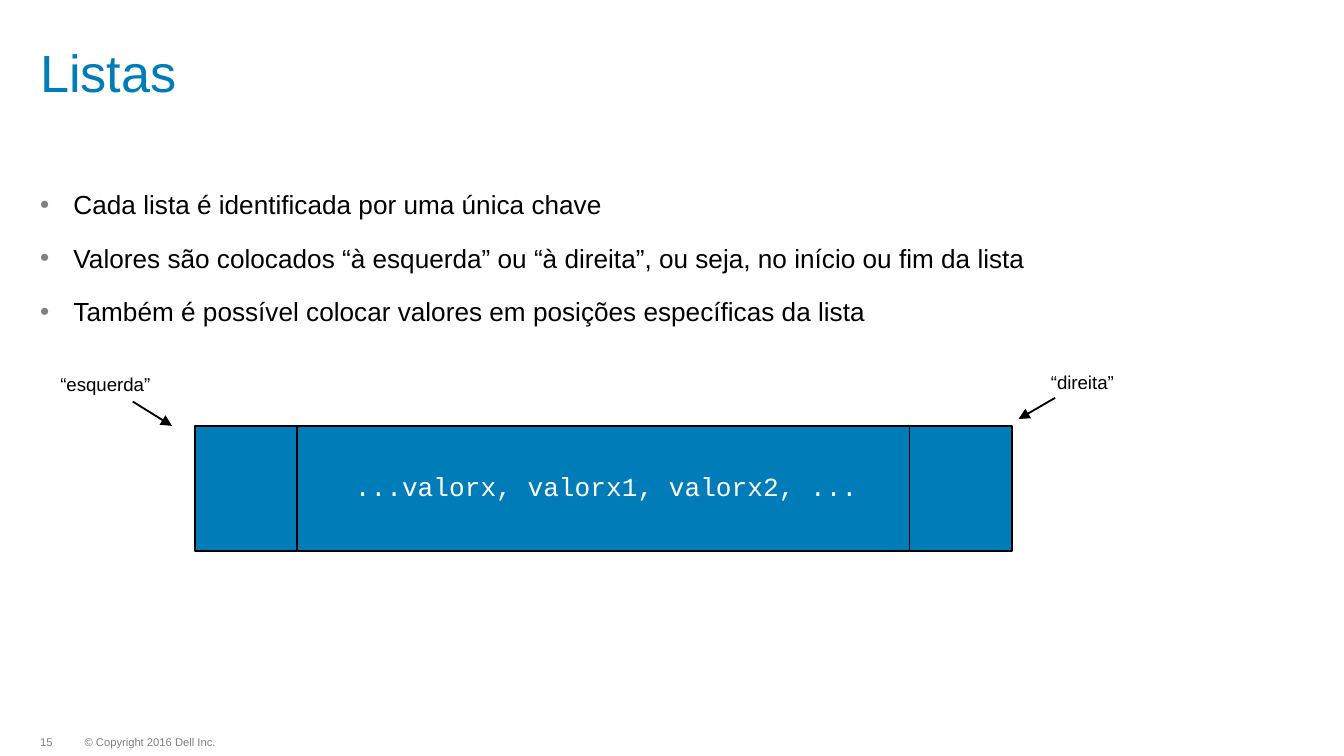
from lxml.etree import SubElement
from pptx import Presentation
from pptx.dml.color import RGBColor
from pptx.enum.shapes import MSO_CONNECTOR, MSO_SHAPE
from pptx.enum.text import MSO_ANCHOR, MSO_AUTO_SIZE, PP_ALIGN
from pptx.oxml.ns import qn
from pptx.util import Cm, Pt

BLUE = RGBColor(0x00, 0x7D, 0xB8)
BLACK = RGBColor(0x00, 0x00, 0x00)
WHITE = RGBColor(0xFF, 0xFF, 0xFF)
GRAY = RGBColor(0x80, 0x80, 0x80)
FOOTER_GRAY = RGBColor(0x7F, 0x7F, 0x7F)
LEFT = Cm(0.76)


def write(shape, *lines, size=14, font="Arial", color=BLACK, align=PP_ALIGN.LEFT,
          anchor=MSO_ANCHOR.TOP, insets=(0, 0, 0, 0), wrap=True, spacing=1.0,
          gap=0, bullet=None):
    """Fill a shape with one paragraph per line; insets are in cm."""
    frame = shape.text_frame
    frame.auto_size = MSO_AUTO_SIZE.NONE
    frame.word_wrap = wrap
    frame.vertical_anchor = anchor
    (frame.margin_left, frame.margin_top,
     frame.margin_right, frame.margin_bottom) = [Cm(inset) for inset in insets]
    for index, line in enumerate(lines):
        para = frame.add_paragraph() if index else frame.paragraphs[0]
        para.alignment = align
        para.line_spacing = spacing
        para.space_before = Pt(gap if index else 0)
        if bullet:
            props = para._p.get_or_add_pPr()
            props.set("marL", str(Cm(0.63)))
            props.set("indent", str(-Cm(0.63)))
            bullet_color = SubElement(props, qn("a:buClr"))
            SubElement(bullet_color, qn("a:srgbClr")).set("val", str(GRAY))
            SubElement(props, qn("a:buFont")).set("typeface", "Arial")
            SubElement(props, qn("a:buChar")).set("char", bullet)
        span = para.add_run()
        span.text = line
        span.font.size = Pt(size)
        span.font.name = font
        span.font.color.rgb = color


deck = Presentation()
deck.slide_width, deck.slide_height = Cm(25.4), Cm(14.29)
page = deck.slides.add_slide(deck.slide_layouts[5])

# Footer
for text, left, width, color in (
    ("© Copyright 2016 Dell Inc.", 1.6, 2.49, FOOTER_GRAY),
    ("15", 0.76, 0.25, GRAY),
):
    box = page.shapes.add_textbox(Cm(left), Cm(13.92), Cm(width), Cm(0.23))
    write(box, text, size=6, color=color, anchor=MSO_ANCHOR.MIDDLE, wrap=False,
          spacing=0.9)

# Title
title = page.shapes.title
title.left, title.top, title.width, title.height = LEFT, Cm(0.76), Cm(22.1), Cm(1.78)
write(title, "Listas", size=28, color=BLUE, insets=(0, 0.13, 0, 0.13), spacing=0.9)

# Bullet points
body = page.shapes.add_textbox(LEFT, Cm(3.56), Cm(22.1), Cm(8.86))
write(
    body,
    "Cada lista é identificada por uma única chave",
    "Valores são colocados “à esquerda” ou “à direita”, ou seja, no início ou fim da lista",
    "Também é possível colocar valores em posições específicas da lista",
    gap=12, bullet="•",
)

# List diagram
list_shape = page.shapes.add_shape(
    MSO_SHAPE.FLOWCHART_PREDEFINED_PROCESS, Cm(3.68), Cm(8.05), Cm(15.44), Cm(2.36))
list_shape.shadow.inherit = False
list_shape.fill.solid()
list_shape.fill.fore_color.rgb = BLUE
list_shape.line.color.rgb = BLACK
list_shape.line.width = Pt(1)
write(list_shape, "...valorx, valorx1, valorx2, ...", font="Courier New", color=WHITE,
      align=PP_ALIGN.CENTER, anchor=MSO_ANCHOR.MIDDLE,
      insets=(0.51, 0.38, 0.38, 0.38), spacing=0.9)

# Labels for both ends, each with an arrow
for text, left, top, ends in (
    ("“esquerda”", 0.89, 6.91, (2.51, 7.59, 3.25, 8.05)),
    ("“direita”", 19.61, 6.88, (19.94, 7.52, 19.25, 7.92)),
):
    arrow = page.shapes.add_connector(MSO_CONNECTOR.STRAIGHT, *[Cm(end) for end in ends])
    arrow.line.color.rgb = BLACK
    arrow.line.width = Pt(1)
    SubElement(arrow.line._get_or_add_ln(), qn("a:tailEnd")).set("type", "triangle")
    SubElement(arrow._element.spPr, qn("a:effectLst"))
    label = page.shapes.add_textbox(Cm(left), Cm(top), Cm(2.51), Cm(0.69))
    write(label, text, size=10, insets=(0.25, 0.13, 0.25, 0.13))

deck.save("out.pptx")
